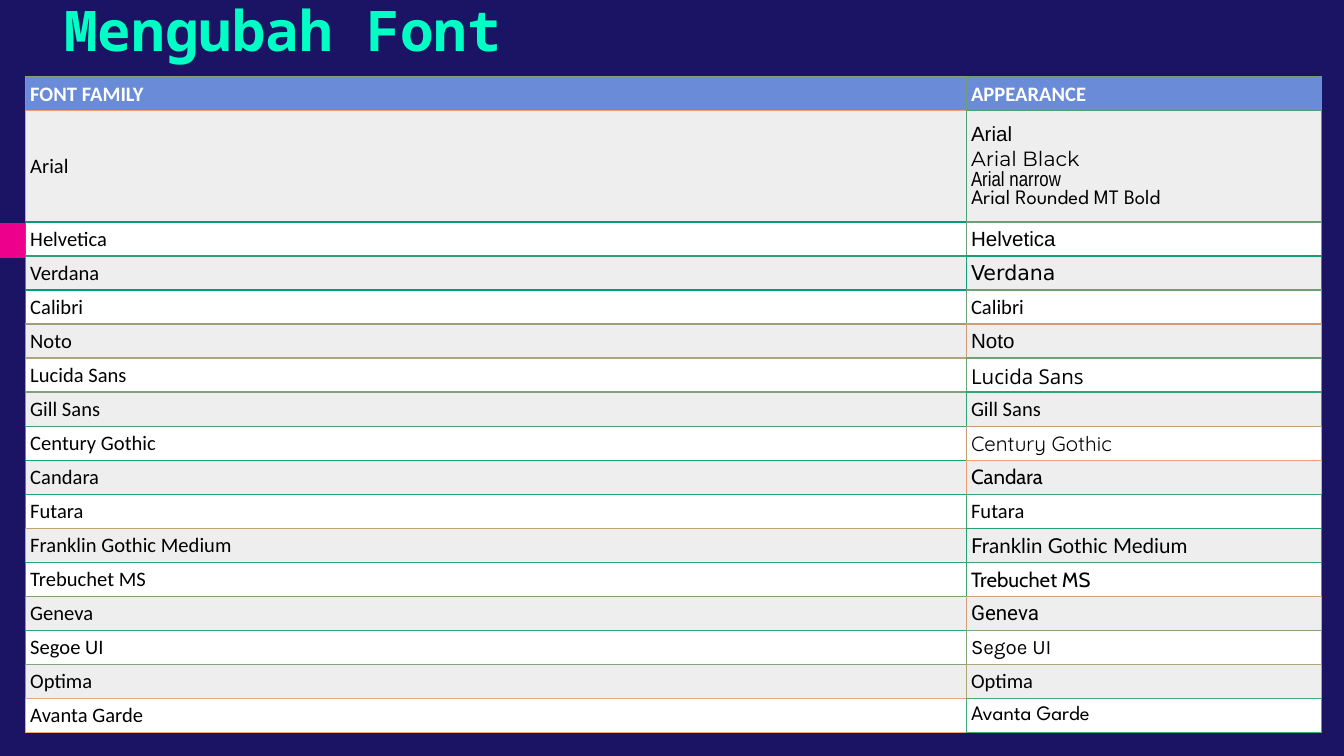
"""Build a slide that lists font families beside their appearance."""
from lxml.etree import SubElement
from pptx import Presentation
from pptx.dml.color import RGBColor
from pptx.enum.shapes import MSO_SHAPE
from pptx.enum.text import MSO_ANCHOR
from pptx.oxml.ns import qn
from pptx.util import Inches, Pt

TITLE = "Mengubah Font"
HEADINGS = ("FONT FAMILY", "APPEARANCE")
FAMILIES = [
    ("Arial", [("Arial", "Arial"), ("Arial Black", "Montserrat"),
               ("Arial narrow", "Arial Narrow"),
               ("Arial Rounded MT Bold", "League Spartan")]),
    ("Helvetica", "Arial"),
    ("Verdana", "DejaVu Sans"),
    ("Calibri", "Calibri"),
    ("Noto", "Arial"),
    ("Lucida Sans", "Open Sans"),
    ("Gill Sans", "Calibri"),
    ("Century Gothic", "Quicksand"),
    ("Candara", "Cabin"),
    ("Futara", "Calibri"),
    ("Franklin Gothic Medium", "Lato"),
    ("Trebuchet MS", "Cabin"),
    ("Geneva", "Roboto"),
    ("Segoe UI", "Karla"),
    ("Optima", "Calibri"),
    ("Avanta Garde", "League Spartan"),
]
BORDERS = [
    ("909A77", "709C77"), ("F09D77", "509E77"), ("009D77", "709C77"),
    ("309D77", "109F77"), ("009D77", "709F77"), ("A09C77", "D09C77"),
    ("B0A576", "70A076"), ("80A276", "30A476"), ("40A376", "C0A176"),
    ("10A676", "F0A176"), ("20A576", "40A376"), ("C0A476", "20A276"),
    ("30A476", "40A376"), ("80A276", "D0A076"), ("30A476", "80A576"),
    ("80A576", "B0A576"), ("F0A776", "40AC76"),
]
THEME = {
    "background": "1B1464", "accent": "EC008C", "title": "00FFC5",
    "header": "6A8BD8", "header_text": "FFFFFF", "text": "000000",
    "bands": ("EEEEEE", "FFFFFF"),
    "title_font": "Noto Sans Mono", "body_font": "Calibri",
    "title_size": 30, "body_size": 11, "inner_line": 1, "outer_line": 0.75,
}
SLIDE_WIDTH = 10
COLUMN_WIDTHS = (7, 2.64)
ROW_HEIGHT, ARIAL_HEIGHT = 0.25, 0.83
CELL_INSET = Inches(2.5 / 72)


def paint(fill, color):
    fill.solid()
    fill.fore_color.rgb = RGBColor.from_string(color)


def write(paragraph, text, *, font=THEME["body_font"], size=THEME["body_size"],
          color=THEME["text"], bold=False):
    run = paragraph.add_run()
    run.text = text
    run.font.name = font
    run.font.size = Pt(size)
    run.font.bold = bold
    run.font.color.rgb = RGBColor.from_string(color)


def draw_borders(cell, sides):
    properties = cell._tc.get_or_add_tcPr()
    for index, (side, color, width) in enumerate(sides):
        line = SubElement(properties, qn(f"a:ln{side}"), w=str(Pt(width)))
        properties.insert(index, line)
        SubElement(SubElement(line, qn("a:solidFill")), qn("a:srgbClr"), val=color)


def fill_cell(cell, samples, fill, **style):
    cell.margin_left = cell.margin_right = CELL_INSET
    cell.margin_top = cell.margin_bottom = CELL_INSET
    cell.vertical_anchor = MSO_ANCHOR.MIDDLE
    paint(cell.fill, fill)
    for index, (text, font) in enumerate(samples):
        frame = cell.text_frame
        paragraph = frame.add_paragraph() if index else frame.paragraphs[0]
        write(paragraph, text, font=font, **style)


def add_font_table(slide):
    body = THEME["body_font"]
    rows = [[[(heading, body)] for heading in HEADINGS]]
    for family, appearance in FAMILIES:
        samples = [(family, appearance)] if isinstance(appearance, str) else appearance
        rows.append([[(family, body)], samples])
    heights = [ROW_HEIGHT] * len(rows)
    heights[1] = ARIAL_HEIGHT
    font_table = slide.shapes.add_table(
        len(rows), len(COLUMN_WIDTHS), Inches(0.19), Inches(0.57),
        Inches(sum(COLUMN_WIDTHS)), Inches(sum(heights))).table
    for column, width in zip(font_table.columns, COLUMN_WIDTHS):
        column.width = Inches(width)
    for row, height in zip(font_table.rows, heights):
        row.height = Inches(height)

    inner, outer = THEME["inner_line"], THEME["outer_line"]
    for r, row in enumerate(rows):
        is_header, is_last = r == 0, r == len(rows) - 1
        fill = THEME["header"] if is_header else THEME["bands"][(r - 1) % 2]
        color = THEME["header_text"] if is_header else THEME["text"]
        for c, samples in enumerate(row):
            cell = font_table.cell(r, c)
            fill_cell(cell, samples, fill, color=color, bold=is_header)
            own = BORDERS[r][c]
            below = BORDERS[r if is_last else r + 1][c]
            draw_borders(cell, [
                ("L", own, inner),
                ("R", BORDERS[r][1], outer if c else inner),
                ("T", own, inner),
                ("B", below, outer if is_last else inner),
            ])


def main():
    deck = Presentation()
    deck.slide_width = Inches(SLIDE_WIDTH)
    deck.slide_height = Inches(SLIDE_WIDTH * 9 / 16)
    slide = deck.slides.add_slide(deck.slide_layouts[6])
    paint(slide.background.fill, THEME["background"])

    accent = slide.shapes.add_shape(
        MSO_SHAPE.RECTANGLE, Inches(0), Inches(1.66), Inches(3.22), Inches(0.26))
    accent.shadow.inherit = False
    paint(accent.fill, THEME["accent"])
    accent.line.fill.background()

    title = slide.shapes.add_textbox(
        Inches(0.38), Inches(-0.16), Inches(3.89), Inches(0.73)).text_frame
    title.word_wrap = True
    title.vertical_anchor = MSO_ANCHOR.BOTTOM
    title.margin_left = title.margin_right = Inches(0.1)
    title.margin_top = title.margin_bottom = Inches(0.1)
    title.paragraphs[0].line_spacing = 0.9
    write(title.paragraphs[0], TITLE, font=THEME["title_font"],
          size=THEME["title_size"], color=THEME["title"], bold=True)

    add_font_table(slide)
    deck.save("out.pptx")


if __name__ == "__main__":
    main()
